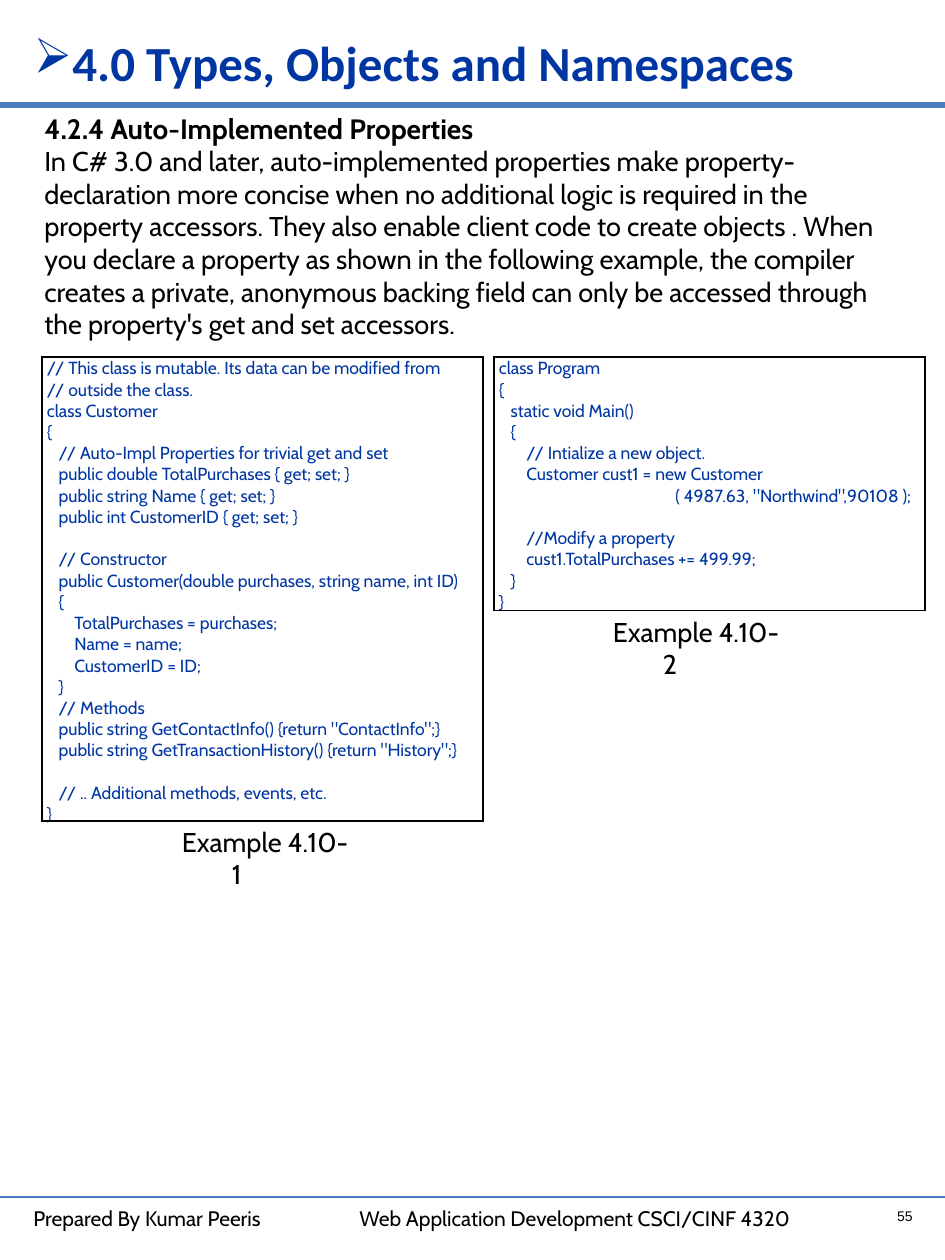
from copy import deepcopy
from dataclasses import dataclass

from lxml.etree import SubElement
from pptx import Presentation
from pptx.dml.color import RGBColor
from pptx.enum.shapes import MSO_CONNECTOR
from pptx.enum.text import MSO_ANCHOR, MSO_AUTO_SIZE, PP_ALIGN
from pptx.oxml.ns import qn
from pptx.util import Emu, Pt

TITLE = "4.0 Types, Objects and Namespaces"
HEADING = "4.2.4 Auto-Implemented Properties"
BODY = [
    "In C# 3.0 and later, auto-implemented properties make property-declaration more "
    "concise when no additional logic is required in the property accessors. They also "
    "enable client code to create objects . When you declare a property as shown in the "
    "following example, the compiler creates a private, anonymous backing field can only "
    "be accessed through",
    "the property's get and set accessors.",
]
CUSTOMER_CODE = [""" // This class is mutable. Its data can be modified from
 // outside the class.
 class Customer
 {
    // Auto-Impl Properties for trivial get and set
    public double TotalPurchases { get; set; }
    public string Name { get; set; }
    public int CustomerID { get; set; }

    // Constructor
    public Customer(double purchases, string name, int ID)
    {
        TotalPurchases = purchases;
        Name = name;
        CustomerID = ID;
    }
    // Methods
    public string GetContactInfo() {return "ContactInfo";}
    public string GetTransactionHistory() {return "History";}

    // .. Additional methods, events, etc.
 }"""]
PROGRAM_CODE = [""" class Program
 {
    static void Main()
    {
        // Intialize a new object.
        Customer cust1 = new Customer""",
                """                                              ( 4987.63, "Northwind",90108 );

        //Modify a property
        cust1.TotalPurchases += 499.99;
    }
 }"""]
EXAMPLES = [
    (CUSTOMER_CODE, (42, 357, 441, 463), "Example 4.10-1", (168, 819, 200, 42)),
    (PROGRAM_CODE, (494, 357, 431, 253), "Example 4.10-2", (599, 609, 200, 42)),
]
FOOTER = "Prepared By Kumar Peeris\tWeb Application Development CSCI/CINF 4320"
FOOTER_TAB = 326
PAGE_NUMBER = "55"
WIDTH, HEIGHT = 945, 1260
RULES = [(105, 3.25), (1197, 0.75)]


@dataclass(frozen=True)
class Theme:
    ink: str = "000000"
    blue: str = "0036A2"
    rule: str = "4B7EBC"
    paper: str = "FFFFFF"
    text_font: str = "Cabin"
    title_font: str = "Calibri"
    number_font: str = "Arial"
    title: float = 28
    heading: float = 16
    body: float = 15.5
    footer: float = 12
    code: float = 10
    number: float = 8


THEME = Theme()


def px(length):
    return Emu(length * 914400 // 126)


def style(paragraph, size, color=THEME.ink, font=THEME.text_font, bold=False):
    for run in paragraph.runs:
        run.font.size = Pt(size)
        run.font.name = font
        run.font.bold = bold
        run.font.color.rgb = RGBColor.from_string(color)


def add_text(slide, box, text):
    frame = slide.shapes.add_textbox(*map(px, box)).text_frame
    frame.word_wrap = True
    frame.text = text
    return frame


def add_rule(slide, y, weight):
    rule = slide.shapes.add_connector(MSO_CONNECTOR.STRAIGHT, 0, px(y), px(WIDTH), px(y))
    rule.line.color.rgb = RGBColor.from_string(THEME.rule)
    rule.line.width = Pt(weight)
    SubElement(rule._element.spPr, qn("a:effectLst"))


def add_title(slide):
    title = slide.shapes.title
    title.left, title.top, title.width, title.height = map(px, (21, 26, 892, 72))
    frame = title.text_frame
    frame.text = TITLE
    frame.word_wrap = True
    frame.auto_size = MSO_AUTO_SIZE.NONE
    frame.vertical_anchor = MSO_ANCHOR.TOP
    heading = frame.paragraphs[0]
    heading.alignment = PP_ALIGN.LEFT
    properties = heading._p.get_or_add_pPr()
    properties.set("marL", "0")
    properties.set("indent", "0")
    SubElement(properties, qn("a:buChar"), char="➢")
    style(heading, THEME.title, THEME.blue, THEME.title_font, True)


def add_code(slide, blocks, box):
    table = slide.shapes.add_table(1, 1, *map(px, box)).table
    table.first_row = table.horz_banding = False
    cell = table.cell(0, 0)
    cell.vertical_anchor = MSO_ANCHOR.BOTTOM
    cell.margin_left = cell.margin_top = cell.margin_right = px(1)
    cell.margin_bottom = 0
    cell.text_frame.text = "\n".join(block.replace("\n", "\v") for block in blocks)
    for paragraph in cell.text_frame.paragraphs:
        style(paragraph, THEME.code, THEME.blue)
        run_format = paragraph.runs[0]._r.rPr
        for line_break in paragraph._p.findall(qn("a:br")):
            line_break.insert(0, deepcopy(run_format))
    properties = cell._tc.get_or_add_tcPr()
    for side in ("lnL", "lnR", "lnT", "lnB"):
        border = SubElement(properties, qn(f"a:{side}"), w=str(Pt(1)))
        SubElement(SubElement(border, qn("a:solidFill")), qn("a:srgbClr"), val=THEME.ink)
    cell.fill.solid()
    cell.fill.fore_color.rgb = RGBColor.from_string(THEME.paper)


def add_caption(slide, text, box):
    frame = add_text(slide, box, text)
    frame.margin_left = frame.margin_right = px(14)
    caption = frame.paragraphs[0]
    properties = caption._p.get_or_add_pPr()
    properties.set("marL", str(px(50)))
    properties.set("indent", str(-px(50)))
    style(caption, THEME.body)


def add_footer(slide):
    footer = add_text(slide, (21, 1199, 882, 38), FOOTER).paragraphs[0]
    tabs = SubElement(footer._p.get_or_add_pPr(), qn("a:tabLst"))
    SubElement(tabs, qn("a:tab"), pos=str(px(FOOTER_TAB)), algn="l")
    style(footer, THEME.footer)
    frame = add_text(slide, (867, 1176, 58, 54), PAGE_NUMBER)
    frame.vertical_anchor = MSO_ANCHOR.BOTTOM
    frame.paragraphs[0].alignment = PP_ALIGN.RIGHT
    style(frame.paragraphs[0], THEME.number, font=THEME.number_font)


def main():
    deck = Presentation()
    deck.slide_width, deck.slide_height = px(WIDTH), px(HEIGHT)
    slide = deck.slides.add_slide(deck.slide_layouts[5])
    add_title(slide)
    for y, weight in RULES:
        add_rule(slide, y, weight)
    heading, *body = add_text(slide, (32, 105, 892, 242), "\n".join([HEADING, *BODY])).paragraphs
    style(heading, THEME.heading, bold=True)
    for paragraph in body:
        style(paragraph, THEME.body)
    for code, code_box, caption, caption_box in EXAMPLES:
        add_code(slide, code, code_box)
        add_caption(slide, caption, caption_box)
    add_footer(slide)
    deck.save("out.pptx")


if __name__ == "__main__":
    main()
